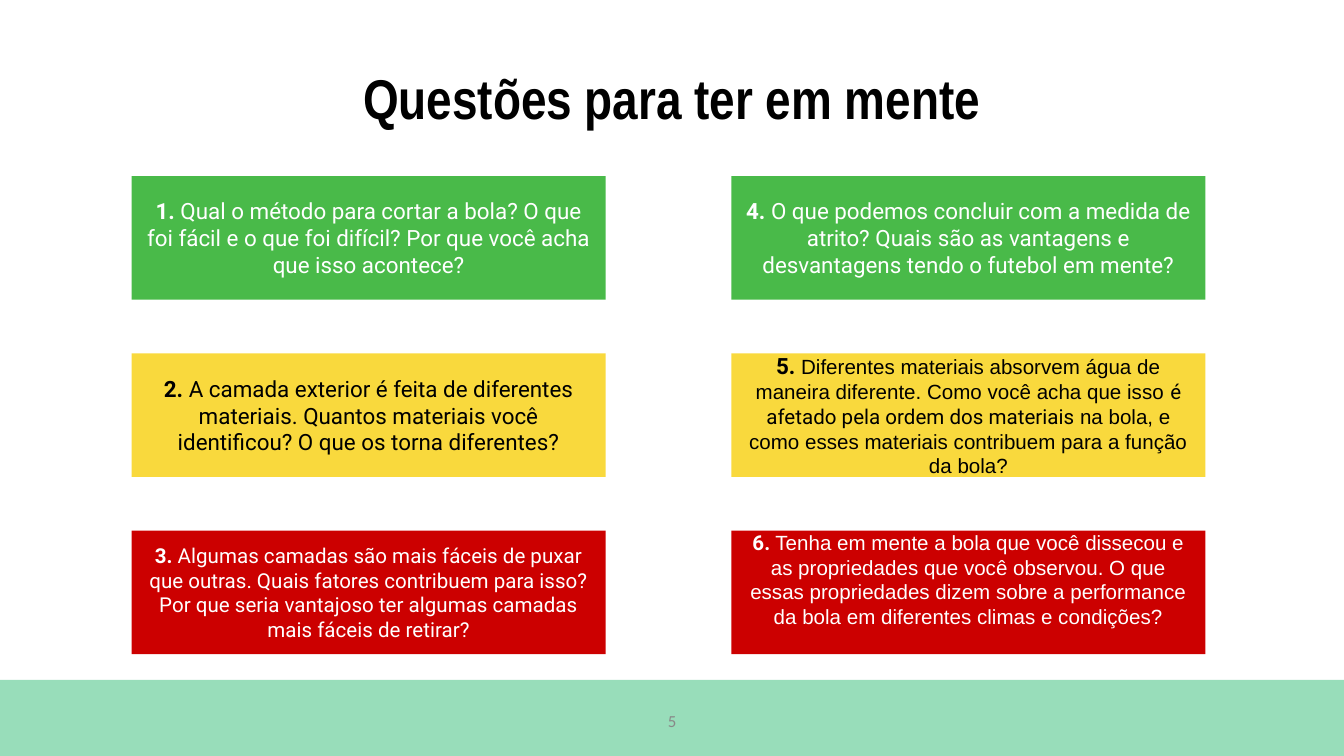
from dataclasses import dataclass

import pptx
import pptx.dml.color
import pptx.enum.shapes
import pptx.enum.text
import pptx.shapes.autoshape
import pptx.slide
import pptx.text.text
import pptx.util

Pt = pptx.util.Pt
RGBColor = pptx.dml.color.RGBColor
Anchor = pptx.enum.text.MSO_ANCHOR

GREEN = RGBColor(0x49, 0xBA, 0x49)
YELLOW = RGBColor(0xF9, 0xD9, 0x3D)
RED = RGBColor(0xCC, 0x00, 0x00)
MINT = RGBColor(0x98, 0xDD, 0xBA)
GRAY = RGBColor(0x88, 0x88, 0x88)
BLACK = RGBColor(0x00, 0x00, 0x00)
WHITE = RGBColor(0xFF, 0xFF, 0xFF)

SLIDE_WIDTH, SLIDE_HEIGHT = 720, 405
FOOTER_TOP = 364.3
CARD_LEFT, CARD_TOP = 70.5, 94.3
CARD_WIDTH, CARD_HEIGHT = 254, 66.2
COLUMN_STEP, ROW_STEP = 321.3, 95
ROW_STYLES = [(GREEN, WHITE), (YELLOW, BLACK), (RED, WHITE)]


@dataclass(frozen=True)
class Span:
    text: str
    size: float = 12
    font: str = "Roboto"
    bold: bool = False


@dataclass(frozen=True)
class Question:
    number_size: float
    spans: tuple[Span, ...]
    top_inset: float = 7.2
    bottom_inset: float = 7.2


QUESTIONS = [
    Question(12, (Span("Qual o método para cortar a bola? O que foi fácil e o que foi difícil? "
                       "Por que você acha que isso acontece?"),)),
    Question(12, (Span("A camada exterior é feita de diferentes materiais. Quantos materiais "
                       "você identificou? O que os torna diferentes?"),)),
    Question(11, (Span("Algumas camadas são mais fáceis de puxar que outras. Quais fatores "
                       "contribuem para isso? Por que seria vantajoso ter algumas camadas "
                       "mais fáceis de retirar?", 11),)),
    Question(12, (Span("O que podemos concluir com a medida de atrito? Quais são as vantagens "
                       "e desvantagens tendo o futebol em mente?"),)),
    Question(12, (Span("Diferentes materiais absorvem água de maneira diferente. Como você "
                       "acha que isso ", 11, "Arial"),
                  Span("é afetado pela ordem dos materiais ", 11),
                  Span("na bola, e como esses materiais contribuem para a função da bola?",
                       11, "Arial"))),
    Question(11, (Span("Tenha em mente a bola que você dissecou e as propriedades que você "
                       "observou. O que essas propriedades dizem sobre a performance da bola "
                       "em diferentes climas e condições?", 11, "Arial"),), 0, 14),
]


def write_text(frame: pptx.text.text.TextFrame, spans: list[Span], color: RGBColor,
               insets: tuple[float, float, float, float],
               anchor: Anchor = Anchor.MIDDLE) -> pptx.text.text._Paragraph:
    frame.word_wrap = True
    frame.auto_size = pptx.enum.text.MSO_AUTO_SIZE.NONE
    frame.vertical_anchor = anchor
    (frame.margin_left, frame.margin_top,
     frame.margin_right, frame.margin_bottom) = map(Pt, insets)
    paragraph = frame.paragraphs[0]
    paragraph.alignment = pptx.enum.text.PP_ALIGN.CENTER
    for span in spans:
        run = paragraph.add_run()
        run.text = span.text
        run.font.size = Pt(span.size)
        run.font.name = span.font
        run.font.bold = span.bold
        run.font.color.rgb = color
    return paragraph


def add_rectangle(slide: pptx.slide.Slide, left: float, top: float, width: float,
                  height: float, fill: RGBColor) -> pptx.shapes.autoshape.Shape:
    shape = slide.shapes.add_shape(pptx.enum.shapes.MSO_SHAPE.RECTANGLE,
                                   Pt(left), Pt(top), Pt(width), Pt(height))
    shape.shadow.inherit = False
    shape.fill.solid()
    shape.fill.fore_color.rgb = fill
    shape.line.fill.background()
    return shape


def add_title(slide: pptx.slide.Slide, text: str) -> None:
    title = slide.shapes.title
    title.left, title.top, title.width, title.height = Pt(56.2), Pt(42.5), Pt(607.6), Pt(32.4)
    paragraph = write_text(title.text_frame, [Span(text, 30, "Arial Narrow", True)],
                           BLACK, (7.2,) * 4, Anchor.TOP)
    paragraph.line_spacing = 0.5


def add_footer(slide: pptx.slide.Slide, number: str) -> None:
    add_rectangle(slide, 0, FOOTER_TOP, SLIDE_WIDTH, SLIDE_HEIGHT - FOOTER_TOP, MINT)
    box = slide.shapes.add_textbox(Pt(279), Pt(375.4), Pt(162), Pt(21.6))
    write_text(box.text_frame, [Span(number, 9, "Calibri")], GRAY, (5, 2.9, 5, 2.9))


def add_question(slide: pptx.slide.Slide, index: int, question: Question) -> None:
    column, row = divmod(index, len(ROW_STYLES))
    fill, color = ROW_STYLES[row]
    card = add_rectangle(slide, CARD_LEFT + column * COLUMN_STEP, CARD_TOP + row * ROW_STEP,
                         CARD_WIDTH, CARD_HEIGHT, fill)
    number = Span(f"{index + 1}. ", question.number_size, bold=True)
    write_text(card.text_frame, [number, *question.spans], color,
               (7.2, question.top_inset, 7.2, question.bottom_inset))


def main() -> None:
    presentation = pptx.Presentation()
    presentation.slide_width = Pt(SLIDE_WIDTH)
    presentation.slide_height = Pt(SLIDE_HEIGHT)
    slide = presentation.slides.add_slide(presentation.slide_layouts[5])
    add_footer(slide, "5")
    add_title(slide, "Questões para ter em mente")
    for index, question in enumerate(QUESTIONS):
        add_question(slide, index, question)
    presentation.save("out.pptx")


if __name__ == "__main__":
    main()
